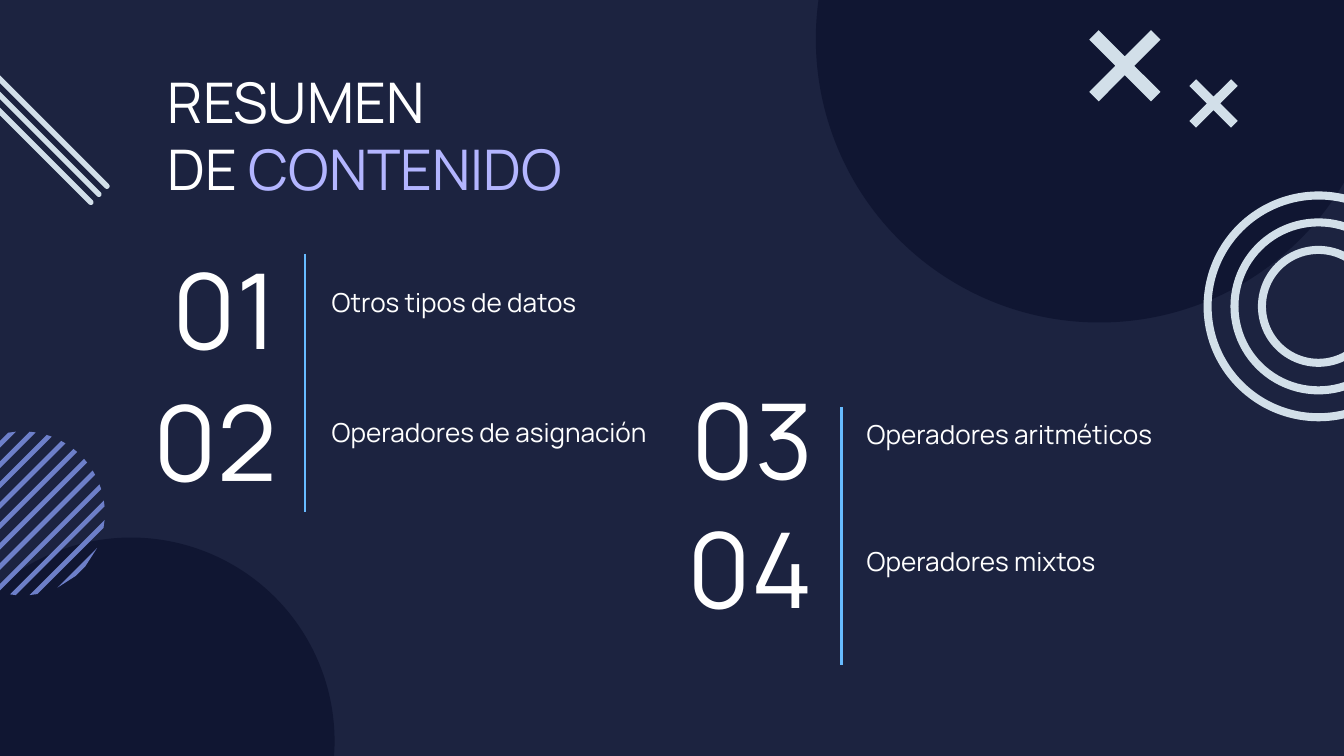
from math import sqrt
from pptx import Presentation
from pptx.util import Inches, Pt
from pptx.dml.color import RGBColor
from pptx.enum.shapes import MSO_SHAPE as SHAPE, MSO_CONNECTOR
from pptx.enum.text import MSO_ANCHOR as ANCHOR, PP_ALIGN as ALIGN
from pptx.oxml.ns import qn
from lxml import etree

COLORS = {
    "background": "1C2340",
    "disc": "101632",
    "stripe": "6D7FC9",
    "pale": "D2DFE9",
    "white": "FFFFFF",
    "accent": "B3B5FF",
    "rule": "67BBFF",
}
C = {name: RGBColor.from_string(value) for name, value in COLORS.items()}

prs = Presentation()
prs.slide_width, prs.slide_height = Inches(10), Inches(10 * 9 / 16)
s = prs.slides.add_slide(prs.slide_layouts[6])
s.background.fill.solid()
s.background.fill.fore_color.rgb = C["background"]


def paint(sp, color):
    sp.shadow.inherit = False
    sp.fill.solid()
    sp.fill.fore_color.rgb = C[color]
    sp.line.fill.background()


def add_text(x, y, w, h, lines, size, anchor=ANCHOR.TOP, align=ALIGN.LEFT):
    tf = s.shapes.add_textbox(Inches(x), Inches(y), Inches(w), Inches(h)).text_frame
    tf.word_wrap = True
    tf.vertical_anchor = anchor
    tf.margin_left = tf.margin_right = tf.margin_top = tf.margin_bottom = Inches(0.1)
    for i, line in enumerate(lines):
        p = tf.paragraphs[0] if i == 0 else tf.add_paragraph()
        p.text = line
        p.alignment = align
        p.font.name = "Manrope"
        p.font.size = Pt(size)
        p.font.color.rgb = C["white"]
    return tf


for x, y, d in [(-0.54, 4, 3.03), (6.07, -1.82, 4.22)]:
    disc = s.shapes.add_shape(SHAPE.OVAL, Inches(x), Inches(y), Inches(d), Inches(d))
    paint(disc, "disc")

cx, cy, radius = 0.17, 3.82, 0.61
first, last, count, thickness = -0.71, 0.81, 11, 0.05
for i in range(count):
    start = first + (last - first) * i / (count - 1)
    points = []
    for offset, side in [(start, 1), (start + thickness, -1)]:
        mid = offset / 2
        half = side * sqrt(max(0, radius ** 2 / 2 - mid ** 2))
        for h in (half, -half):
            points.append((Inches(cx + mid + h), Inches(cy + mid - h)))
    fb = s.shapes.build_freeform(*points[0])
    fb.add_line_segments(points[1:])
    paint(fb.convert_to_shape(), "stripe")

for d in (1.71, 1.31, 0.9):
    ring = s.shapes.add_shape(SHAPE.DONUT, Inches(9.81 - d / 2), Inches(2.28 - d / 2),
                              Inches(d), Inches(d))
    ring.adjustments[0] = 0.06 / d
    paint(ring, "pale")

length, width = 1.64, 0.04
for i in range(3):
    bar = s.shapes.add_shape(SHAPE.ROUNDED_RECTANGLE,
                             Inches(0.23 - 0.06 * i - length / 2),
                             Inches(0.82 + 0.06 * i - width / 2),
                             Inches(length), Inches(width))
    bar.adjustments[0] = 0.5
    bar.rotation = 45
    paint(bar, "pale")

for x, y, size, arm in [(9.03, 0.77, 0.36, 0.05), (8.37, 0.49, 0.53, 0.07)]:
    e = size / 2
    corner = [(arm - e, -e), (-e, arm - e), (-arm, 0)]
    points = []
    for _ in range(4):
        points += [(Inches(x + u), Inches(y + v)) for u, v in corner]
        corner = [(v, -u) for u, v in corner]
    fb = s.shapes.build_freeform(*points[0])
    fb.add_line_segments(points[1:])
    paint(fb.convert_to_shape(), "pale")

tf = add_text(1.15, 0.4, 4.05, 0.98, ["RESUMEN", "DE "], 30)
r = tf.paragraphs[1].add_run()
r.text = "CONTENIDO"
r.font.color.rgb = C["accent"]

topics = [
    ("01", 0.71, 2.16, "Otros tipos de datos", 2.37, 2.03),
    ("02", 0.71, 3.14, "Operadores de asignación", 2.37, 3),
    ("03", 4.7, 3.13, "Operadores aritméticos", 6.35, 3.01),
    ("04", 4.7, 4.09, "Operadores mixtos", 6.35, 3.96),
]
for number, nx, ny, topic, x, y in topics:
    add_text(nx, ny, 1.45, 0.26, [number], 56, ANCHOR.MIDDLE, ALIGN.RIGHT)
    add_text(x, y, 2.57, 0.44, [topic], 14)

for x, y in [(2.27, 1.89), (6.26, 3.03)]:
    rule = s.shapes.add_connector(MSO_CONNECTOR.STRAIGHT, Inches(x), Inches(y),
                                  Inches(x), Inches(y + 1.92))
    rule.line.color.rgb = C["rule"]
    rule.line.width = Pt(1.5)
    etree.SubElement(rule._element.spPr, qn("a:effectLst"))

prs.save("out.pptx")
